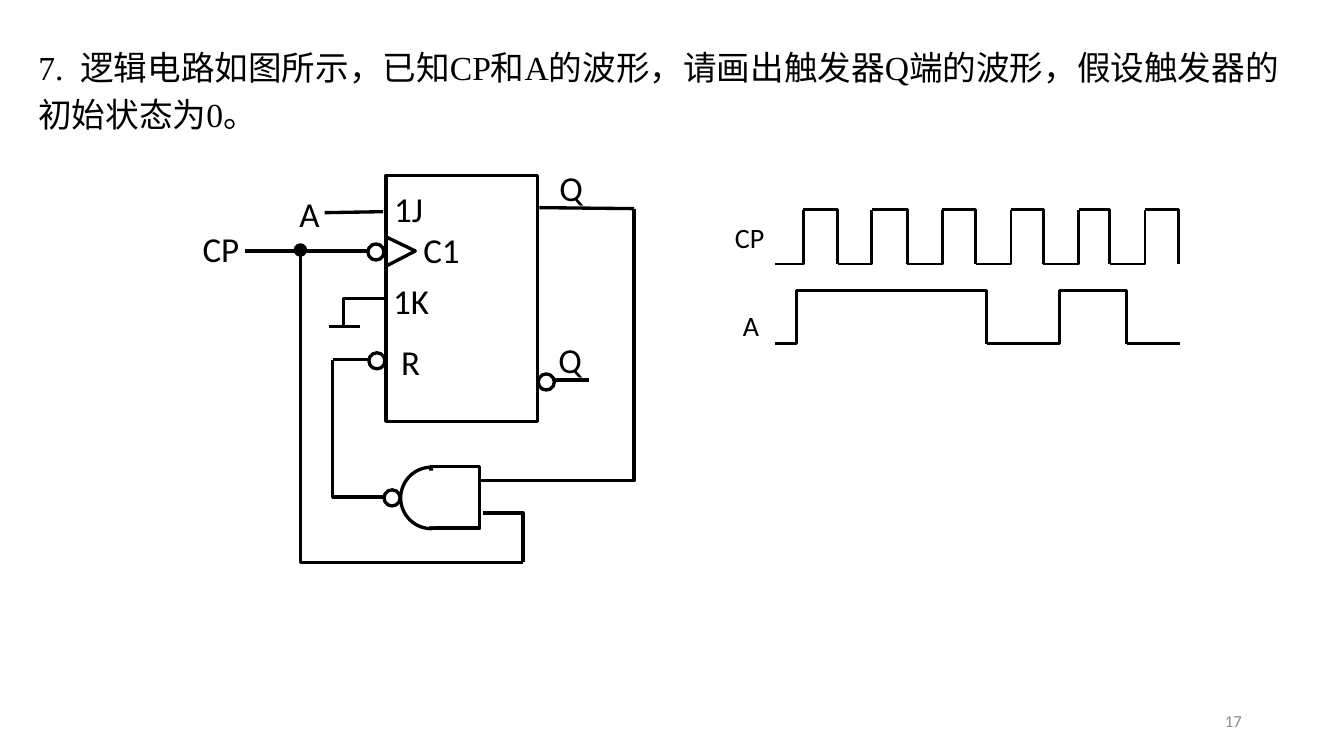
from dataclasses import dataclass
from math import cos, pi, sin

from lxml.etree import SubElement
from pptx import Presentation
from pptx.dml.color import RGBColor
from pptx.enum.shapes import MSO_CONNECTOR, MSO_SHAPE
from pptx.enum.text import MSO_ANCHOR, MSO_AUTO_SIZE, PP_ALIGN
from pptx.oxml.ns import qn
from pptx.util import Emu, Pt

EMU_PER_PX = 9144  # 100 px to the inch
INK = "000000"
CIRCUIT_WEIGHT = 2.38
WAVE_WEIGHT = 2
Point = tuple[float, float]


@dataclass(frozen=True)
class Label:
    text: str
    left: int
    top: int
    width: int
    height: int = 51
    size: int = 25


@dataclass(frozen=True)
class Signal:
    """A square wave that starts low and toggles at every edge."""
    start: int
    edges: tuple[int, ...]
    end: int
    high: int
    low: int


PIN_LABELS = [
    Label("1J", 391, 186, 46),
    Label("C1", 420, 227, 54),
    Label("1K", 390, 277, 54),
    Label("R", 398, 338, 37),
    Label("A", 297, 191, 39),
    Label("CP", 201, 226, 55),
    Label("Q", 555, 165, 41),
    Label("Q", 554, 336, 41),
]
SIGNAL_LABELS = [
    Label("CP", 729, 219, 48, 43, 20),
    Label("A", 737, 306, 33, 43, 20),
]
STRAIGHT_WIRES = [
    ((380, 210), (322, 211)),  # A to 1J
    ((365, 249), (243, 249)),  # CP to C1
    ((357, 324), (326, 324)),  # ground bar
    ((584, 377), (551, 377)),  # inverted output
    ((629, 207), (535, 206)),  # Q output
    ((365, 357), (330, 357)),  # R input
]
BENT_WIRES = [
    [(629, 207), (629, 477), (475, 477)],  # Q to gate
    [(298, 249), (298, 558), (519, 558)],  # CP down and across
    [(519, 558), (519, 509), (479, 509)],  # CP into gate
    [(330, 357), (330, 493), (381, 493)],  # gate to R
    [(341, 322), (341, 296), (384, 296)],  # 1K to ground
]
INVERSION_BUBBLES = [(365, 242), (381, 486), (534, 371), (366, 350)]
SIGNALS = [
    Signal(769, (797, 831, 865, 900, 935, 968, 1003, 1035, 1070, 1101, 1136, 1169),
           1169, 208, 262),
    Signal(769, (790, 979, 1051, 1118), 1171, 288, 341),
]


def px(length: float) -> Emu:
    return Emu(round(length * EMU_PER_PX))


def rgb(colour: str) -> RGBColor:
    return RGBColor.from_string(colour)


def write(frame, text: str, *, size: float, font: str = "Calibri", colour: str = INK,
          align=PP_ALIGN.LEFT, anchor=MSO_ANCHOR.TOP, wrap: bool = False,
          margins: tuple[int, int] = (0, 0), spacing: float = 1.0) -> None:
    frame.auto_size = MSO_AUTO_SIZE.NONE
    frame.word_wrap = wrap
    frame.vertical_anchor = anchor
    frame.margin_left = frame.margin_right = px(margins[0])
    frame.margin_top = frame.margin_bottom = px(margins[1])
    paragraph = frame.paragraphs[0]
    paragraph.alignment = align
    paragraph.line_spacing = spacing
    run = paragraph.add_run()
    run.text = text
    run.font.size = Pt(size)
    run.font.name = font
    run.font.color.rgb = rgb(colour)


def paint(shape, weight: float, fill: str | None = None) -> None:
    """Ink outline of the given weight; a weight of 0 leaves it out."""
    shape.shadow.inherit = False
    if weight:
        shape.line.color.rgb = rgb(INK)
        shape.line.width = Pt(weight)
    else:
        shape.line.fill.background()
    if fill:
        shape.fill.solid()
        shape.fill.fore_color.rgb = rgb(fill)
    else:
        shape.fill.background()


def draw_preset(shapes, kind, left: int, top: int, width: int, height: int,
                weight: float = CIRCUIT_WEIGHT, fill: str | None = None) -> None:
    box = (px(length) for length in (left, top, width, height))
    paint(shapes.add_shape(kind, *box), weight, fill)


def draw_path(shapes, points: list[Point], weight: float = CIRCUIT_WEIGHT,
              closed: bool = False) -> None:
    vertices = [(px(x), px(y)) for x, y in points]
    builder = shapes.build_freeform(*vertices[0], scale=1.0)
    builder.add_line_segments(vertices[1:], close=closed)
    paint(builder.convert_to_shape(), weight)


def draw_wire(shapes, begin: Point, end: Point, weight: float = CIRCUIT_WEIGHT) -> None:
    wire = shapes.add_connector(
        MSO_CONNECTOR.STRAIGHT, *(px(value) for value in begin + end))
    wire.line.color.rgb = rgb(INK)
    wire.line.width = Pt(weight)
    SubElement(wire.element.spPr, qn("a:effectLst"))


def draw_label(shapes, label: Label) -> None:
    box = shapes.add_textbox(
        px(label.left), px(label.top), px(label.width), px(label.height))
    write(box.text_frame, label.text, size=label.size)


def half_circle(centre: Point, radius: float, steps: int = 36) -> list[Point]:
    """Left half of a circle, from its top to its bottom."""
    x, y = centre
    turns = [pi / 2 + pi * step / steps for step in range(steps + 1)]
    return [(x + radius * cos(turn), y - radius * sin(turn)) for turn in turns]


def draw_signal(shapes, signal: Signal) -> None:
    x, level, other = signal.start, signal.low, signal.high
    for edge in signal.edges:
        draw_path(shapes, [(edge, other), (edge, level), (x, level)], WAVE_WEIGHT)
        x, level, other = edge, other, level
    if signal.end > x:
        draw_wire(shapes, (signal.end, level), (x, level), WAVE_WEIGHT)


def main() -> None:
    deck = Presentation()
    deck.slide_width, deck.slide_height = px(4000 / 3), px(750)
    slide = deck.slides.add_slide(deck.slide_layouts[5])
    shapes = slide.shapes

    # Question
    question = shapes.title
    question.left, question.top = px(28), px(36)
    question.width, question.height = px(1264), px(100)
    write(question.text_frame,
          "7.  逻辑电路如图所示，已知CP和A的波形，请画出触发器Q端的波形，假设触发器的初始状态为0。",
          size=24, font="Times New Roman", wrap=True, margins=(10, 5), spacing=1.15)

    # Flip-flop with its clock input
    draw_preset(shapes, MSO_SHAPE.RECTANGLE, 383, 174, 150, 244)
    draw_path(shapes, [(383, 264), (412, 249), (383, 235)], closed=True)

    # Feedback gate: square back, round front, inner seam covered
    draw_preset(shapes, MSO_SHAPE.RECTANGLE, 427, 463, 49, 61)
    draw_path(shapes, half_circle((428, 494), 30.5), closed=True)
    draw_preset(shapes, MSO_SHAPE.RECTANGLE, 423, 467, 10, 55, weight=0, fill="FEFFFF")

    # Wiring
    for begin, end in STRAIGHT_WIRES:
        draw_wire(shapes, begin, end)
    for corners in BENT_WIRES:
        draw_path(shapes, corners)
    for left, top in INVERSION_BUBBLES:
        draw_preset(shapes, MSO_SHAPE.OVAL, left, top, 16, 16)
    draw_preset(shapes, MSO_SHAPE.OVAL, 292, 242, 12, 12, weight=1, fill=INK)

    # Timing diagram
    for signal in SIGNALS:
        draw_signal(shapes, signal)

    # Labels
    for label in PIN_LABELS + SIGNAL_LABELS:
        draw_label(shapes, label)

    # Page number
    page_number = shapes.add_textbox(px(942), px(695), px(300), px(40))
    write(page_number.text_frame, "17", size=12, colour="8C8C8C",
          align=PP_ALIGN.RIGHT, anchor=MSO_ANCHOR.MIDDLE, margins=(10, 5), wrap=True)

    deck.save("out.pptx")


if __name__ == "__main__":
    main()
